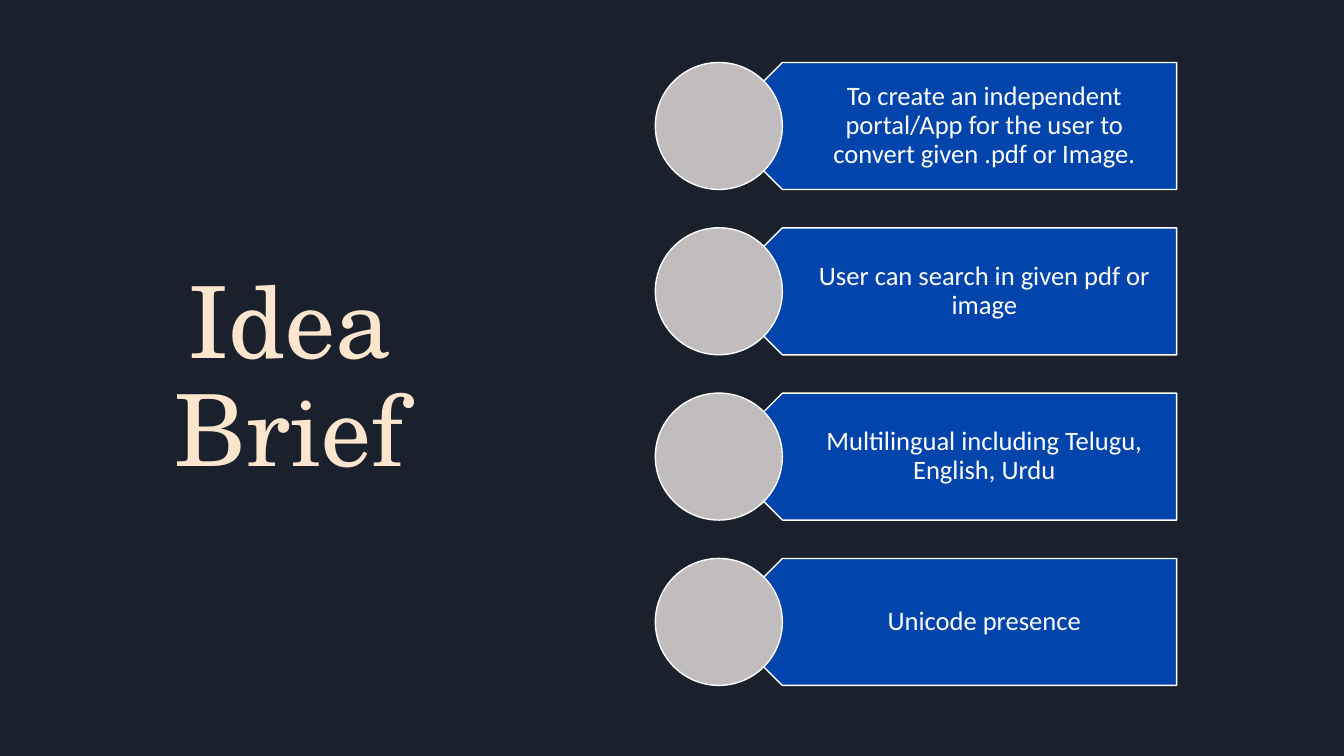
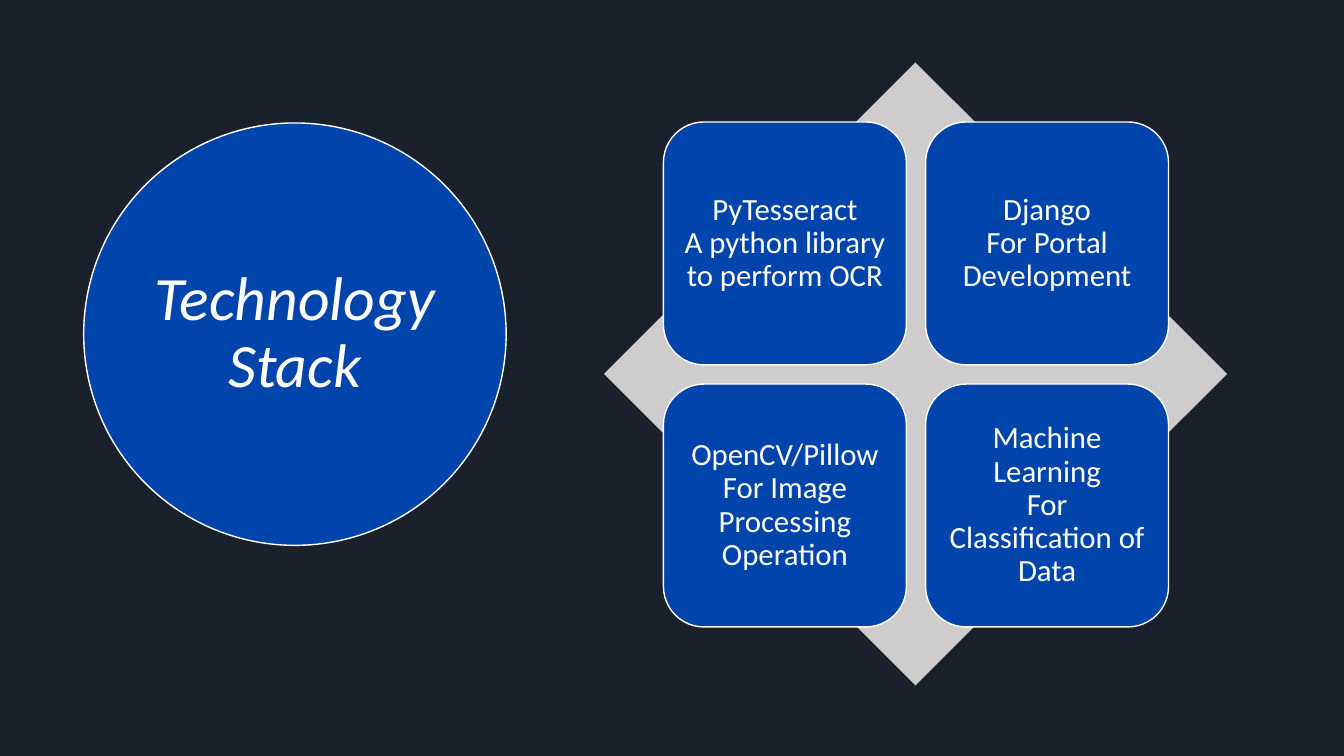
import dataclasses

import pptx
import pptx.dml.color
import pptx.enum.shapes
import pptx.enum.text
import pptx.util

Inches = pptx.util.Inches
ShapeType = pptx.enum.shapes.MSO_SHAPE
Anchor = pptx.enum.text.MSO_ANCHOR


@dataclasses.dataclass(frozen=True)
class Theme:
    background: str = "1B212C"
    title: str = "FCE5CD"
    accent: str = "0145AC"
    white: str = "FFFFFF"
    disc: str = "C1BCBD"
    diamond: str = "CECCCD"
    title_font: str = "TeX Gyre Schola"
    body_font: str = "Calibri"
    title_size: int = 71
    circle_size: int = 44
    tile_size: int = 22
    idea_size: int = 19
    outline: int = 1
    line_spacing: float = 0.9


THEME = Theme()

IDEAS = (
    "To create an independent portal/App for the user to convert given .pdf or Image.",
    "User can search in given pdf or image",
    "Multilingual including Telugu, English, Urdu",
    "Unicode presence",
)
TECHNOLOGIES = (
    "PyTesseract\nA python library to perform OCR",
    "Django\nFor Portal Development",
    "OpenCV/Pillow\nFor Image Processing Operation",
    "Machine Learning\nFor Classification of Data",
)


def rgb(value):
    return pptx.dml.color.RGBColor.from_string(value)


def add_slide(presentation):
    slide = presentation.slides.add_slide(presentation.slide_layouts[6])
    slide.background.fill.solid()
    slide.background.fill.fore_color.rgb = rgb(THEME.background)
    return slide


def add_shape(slide, kind, left, top, width, height, fill, outlined=True):
    shape = slide.shapes.add_shape(
        kind, Inches(left), Inches(top), Inches(width), Inches(height))
    shape.shadow.inherit = False
    shape.fill.solid()
    shape.fill.fore_color.rgb = rgb(fill)
    if outlined:
        shape.line.color.rgb = rgb(THEME.white)
        shape.line.width = pptx.util.Pt(THEME.outline)
    else:
        shape.line.fill.background()
    return shape


def set_text(shape, text, size, insets, anchor=Anchor.MIDDLE,
             color=THEME.white, font=THEME.body_font, italic=False):
    """Write one centred paragraph; insets run left, top, right, bottom."""
    frame = shape.text_frame
    frame.word_wrap = True
    frame.vertical_anchor = anchor
    (frame.margin_left, frame.margin_top,
     frame.margin_right, frame.margin_bottom) = map(Inches, insets)
    paragraph = frame.paragraphs[0]
    paragraph.text = text
    paragraph.alignment = pptx.enum.text.PP_ALIGN.CENTER
    paragraph.line_spacing = THEME.line_spacing
    for run in paragraph.runs:
        run.font.name = font
        run.font.size = pptx.util.Pt(size)
        run.font.italic = italic
        run.font.color.rgb = rgb(color)


def add_text_box(slide, left, top, width, height, text, size, insets, **style):
    box = slide.shapes.add_textbox(
        Inches(left), Inches(top), Inches(width), Inches(height))
    set_text(box, text, size, insets, **style)


def add_idea(slide, top, text):
    """Add a left-pointing banner with a disc over its tip."""
    left, height, right = 6.5, 1.26, 11.67
    banner_left = left + height / 2
    text_left = banner_left + height / 4
    banner = add_shape(slide, ShapeType.PENTAGON, banner_left, top,
                       right - banner_left, height, THEME.accent)
    banner.rotation = 180
    add_text_box(slide, text_left, top, right - text_left, height, text,
                 THEME.idea_size, (0.56, 0.08, 0.15, 0.08))
    add_shape(slide, ShapeType.OVAL, left, top, height, height, THEME.disc)


def add_tile(slide, left, top, side, text):
    tile = add_shape(slide, ShapeType.ROUNDED_RECTANGLE, left, top, side, side,
                     THEME.accent)
    tile.adjustments[0] = 0.167
    set_text(tile, text, THEME.tile_size, (0.09,) * 4)


def build_idea_slide(presentation):
    slide = add_slide(presentation)
    add_text_box(slide, 0.83, 2.66, 4.08, 3.37, "Idea Brief", THEME.title_size,
                 (0.1, 0.05, 0.1, 0.05), anchor=Anchor.TOP,
                 color=THEME.title, font=THEME.title_font)
    for row, text in enumerate(IDEAS):
        add_idea(slide, 0.62 + row * 1.64, text)


def build_technology_slide(presentation):
    slide = add_slide(presentation)
    circle = add_shape(slide, ShapeType.OVAL, 0.83, 1.22, 4.19, 4.19, THEME.accent)
    set_text(circle, "Technology Stack", THEME.circle_size, (0.06,) * 4, italic=True)

    add_shape(slide, ShapeType.DIAMOND, 5.99, 0.62, 6.18, 6.18, THEME.diamond,
              outlined=False)
    side, gap = 2.41, 0.19
    for index, text in enumerate(TECHNOLOGIES):
        row, column = divmod(index, 2)
        add_tile(slide, 6.58 + column * (side + gap), 1.21 + row * (side + gap),
                 side, text)


def main():
    presentation = pptx.Presentation()
    presentation.slide_width = Inches(13.33)
    presentation.slide_height = Inches(7.5)
    build_idea_slide(presentation)
    build_technology_slide(presentation)
    presentation.save("out.pptx")


if __name__ == "__main__":
    main()
